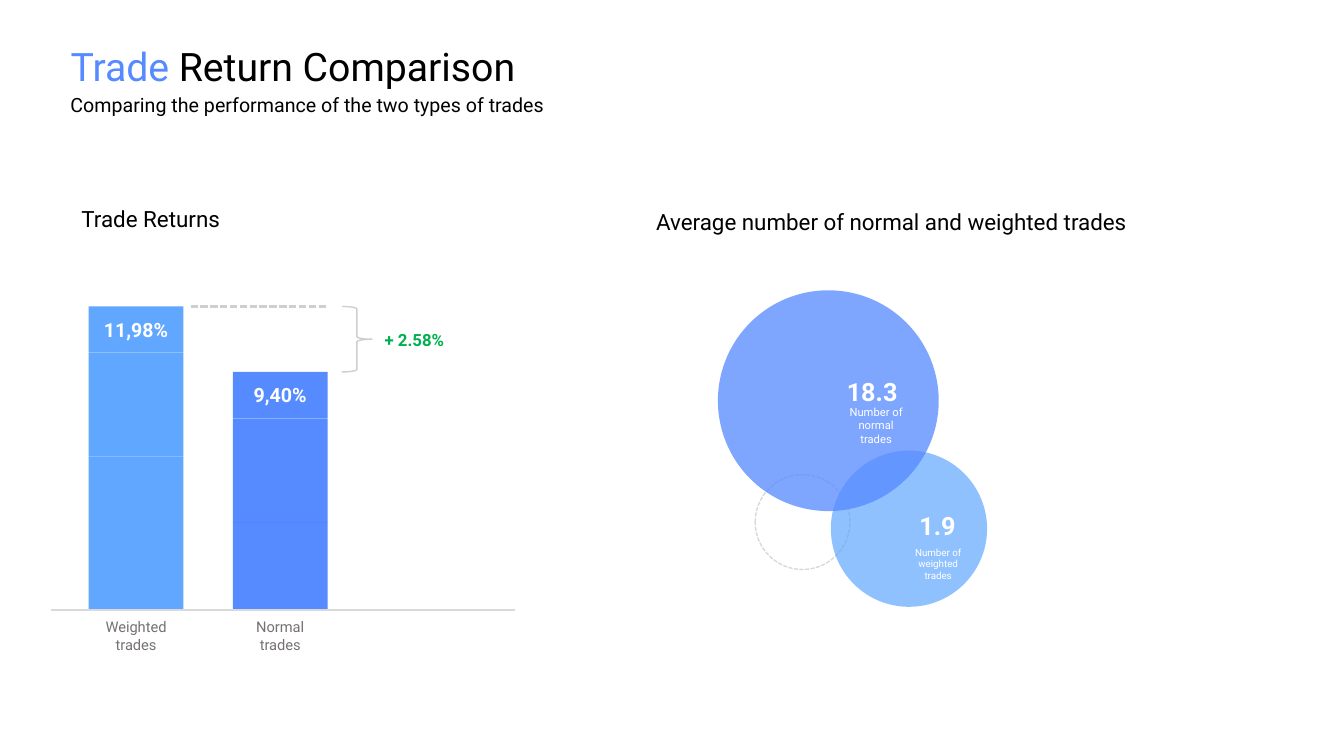
from lxml import etree
from pptx import Presentation, util as u
from pptx.dml.color import RGBColor
from pptx.enum import dml, shapes, text
from pptx.oxml.ns import qn

PX = 9144  # EMU per px, 100 px to the inch
FONT = "Roboto"
HUE = {"sky": "61A7FF", "deep sky": "2687FF", "blue": "568BFF", "deep blue": "1760FF",
       "white": "FFFFFF", "black": "000000", "label": "767171", "gain": "00B050",
       "axis": "D9D9D9", "mark": "D0CECE"}

# Content
TITLE = ("Trade", " Return Comparison")
HEADS = [  # text, box, size
    ("Comparing the performance of the two types of trades", (60, 87, 652, 34), 14),
    ("Trade Returns", (71, 199, 277, 37), 16),
    ("Average number of normal and weighted trades", (641, 202, 514, 37), 16),
]
BARS = [  # value, label, left, top, (hue, opacity) of cap, middle and base
    ("11,98%", "Weighted trades", 88, 304, (("sky", 100), ("deep sky", 73), ("sky", 100))),
    ("9,40%", "Normal trades", 231, 369, (("blue", 100), ("blue", 100), ("deep blue", 73))),
]
GAIN = "+ 2.58%"
WIDE, CAP, MID, BASE = 94, 46, 103, 605
RINGS = [  # left, top, diameter, hue, opacity, outline
    (749, 471, 94, "white", 60, "axis"),
    (824, 447, 155, "sky", 70, None),
    (712, 288, 219, "blue", 76, None),
]
COUNTS = [  # number, box, caption, box, caption size
    ("1.9", (902, 501, 57, 40), "Number of weighted trades", (897, 537, 67, 45), 7),
    ("18.3", (830, 368, 71, 40), "Number of normal trades", (832, 397, 74, 50), 8),
]

deck = Presentation()
deck.slide_width, deck.slide_height = 1333 * PX, 750 * PX
slide = deck.slides.add_slide(deck.slide_layouts[5])


def place(box):
    return [n * PX for n in box]


def tint(hue):
    return RGBColor.from_string(HUE[hue])


def style(run, size, hue, bold=False):
    font = run.font
    font.name, font.size, font.bold = FONT, u.Pt(size), bold
    font.color.rgb = tint(hue)


def write(frame, words, size, hue, bold=False, mid=False, wrap=True):
    frame.text = words
    frame.word_wrap = wrap
    para = frame.paragraphs[0]
    para.alignment = text.PP_ALIGN.CENTER if mid else text.PP_ALIGN.LEFT
    style(para.runs[0], size, hue, bold)


def label(words, box, *look, **more):
    item = slide.shapes.add_textbox(*place(box))
    write(item.text_frame, words, *look, **more)
    return item.text_frame


def stroke(line, hue, width, dash=False):
    line.color.rgb = tint(hue)
    line.width = u.Pt(width)
    if dash:
        line.dash_style = dml.MSO_LINE.SQUARE_DOT


def solid(kind, box, hue, alpha=100):
    item = slide.shapes.add_shape(kind, *place(box))
    item.shadow.inherit = False
    item.line.fill.background()
    item.fill.solid()
    item.fill.fore_color.rgb = tint(hue)
    if alpha < 100:
        clr = item.fill._xPr.find(".//" + qn("a:srgbClr"))
        etree.SubElement(clr, qn("a:alpha")).set("val", str(alpha * 1000))
    return item


def rule(left, right, y, *look):
    item = slide.shapes.add_connector(
        shapes.MSO_CONNECTOR.STRAIGHT, *place((left, y, right, y)))
    etree.SubElement(item._element.spPr, qn("a:effectLst"))
    stroke(item.line, *look)


# Title and headings
title = slide.shapes.title
title.left, title.top, title.width, title.height = place((60, 37, 725, 57))
frame = title.text_frame
frame.auto_size = text.MSO_AUTO_SIZE.NONE
frame.vertical_anchor = text.MSO_ANCHOR.TOP
write(frame, TITLE[0], 28, "blue")
rest = frame.paragraphs[0].add_run()
rest.text = TITLE[1]
style(rest, 28, "black")
for words, box, size in HEADS:
    label(words, box, size, "black")

# Stacked bars
for value, name, left, top, fills in BARS:
    edges = (top, top + CAP, top + CAP + MID, BASE)
    parts = [solid(shapes.MSO_SHAPE.RECTANGLE, (left, y, WIDE, end - y), *fill)
             for y, end, fill in zip(edges, edges[1:], fills)]
    write(parts[0].text_frame, value, 14, "white", bold=True, mid=True)
    parts[0].text_frame.vertical_anchor = text.MSO_ANCHOR.MIDDLE
    label(name, (left, BASE + 3, WIDE, 45), 10.5, "label", mid=True)
rule(51, 511, BASE, "axis", 1)

# Gap between the bars
high, low = (bar[3] for bar in BARS)
rule(189, 325, high, "mark", 1.75, True)
brace = solid(shapes.MSO_SHAPE.RIGHT_BRACE, (339, high, 30, low - high), "white")
brace.fill.background()
stroke(brace.line, "mark", 1)
gain = label(GAIN, (364, 314, 94, 46), 12, "gain", bold=True, mid=True)
gain.vertical_anchor = text.MSO_ANCHOR.MIDDLE

# Circles with counts
for left, top, size, hue, alpha, edge in RINGS:
    ring = solid(shapes.MSO_SHAPE.OVAL, (left, top, size, size), hue, alpha)
    if edge:
        stroke(ring.line, edge, 1, True)
for number, spot, name, box, size in COUNTS:
    label(number, spot, 18, "white", bold=True, wrap=False)
    label(name, box, size, "white", mid=True)

deck.save("out.pptx")
